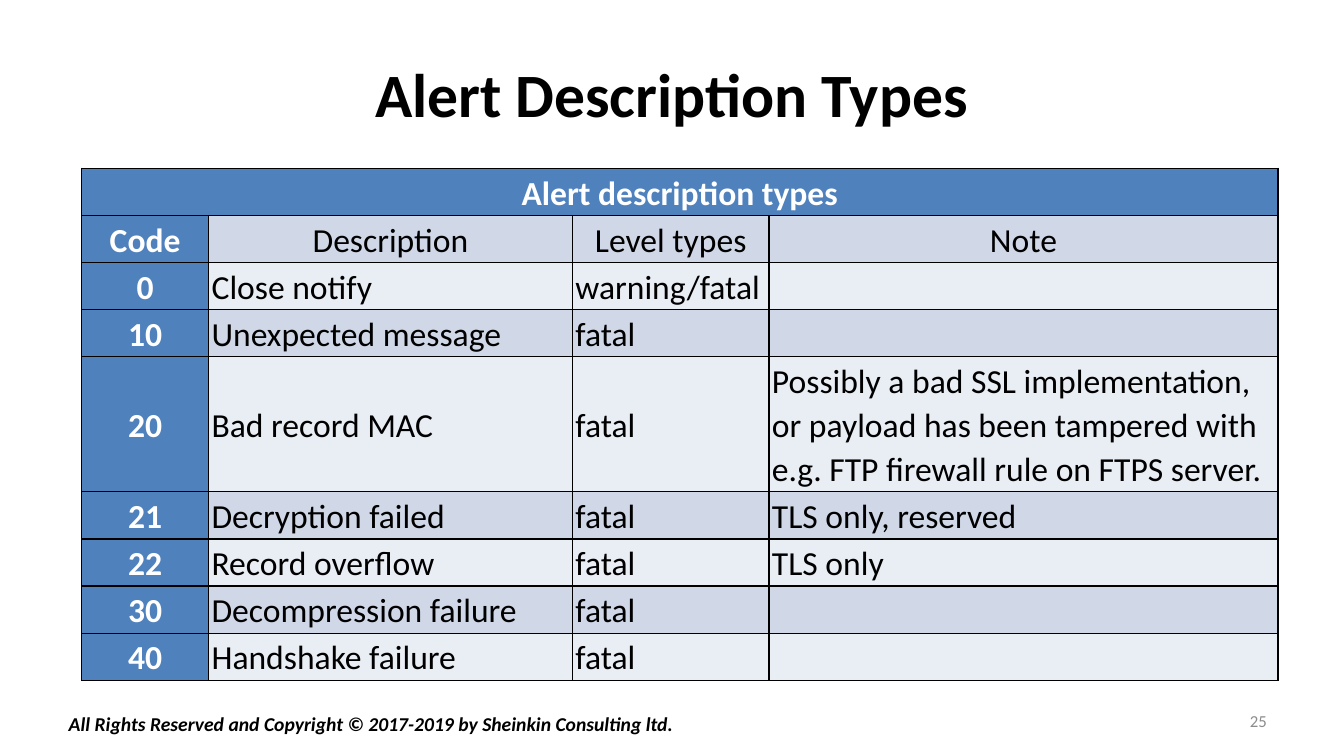
from dataclasses import dataclass

from lxml.etree import SubElement
from pptx import Presentation
from pptx.dml.color import RGBColor as Color
from pptx.enum.text import MSO_ANCHOR as Anchor, PP_ALIGN as Align
from pptx.oxml.ns import qn
from pptx.util import Pt

TITLE = "Alert Description Types"
CAPTION = "Alert description types"
FOOTER = "All Rights Reserved and Copyright © 2017-2019 by Sheinkin Consulting ltd."
PAGE_NUMBER = "25"
HEADINGS = ("Code", "Description", "Level types", "Note")
ALERTS = [
    ("0", "Close notify", "warning/fatal", ""),
    ("10", "Unexpected message", "fatal", ""),
    ("20", "Bad record MAC", "fatal",
     "Possibly a bad SSL implementation, or payload has been tampered with "
     "e.g. FTP firewall rule on FTPS server."),
    ("21", "Decryption failed", "fatal", "TLS only, reserved"),
    ("22", "Record overflow", "fatal", "TLS only"),
    ("30", "Decompression failure", "fatal", ""),
    ("40", "Handshake failure", "fatal", ""),
]


@dataclass(frozen=True)
class Theme:
    font: str = "Calibri"
    ink: str = "000000"
    light: str = "FFFFFF"
    muted: str = "8C8C8C"
    accent: str = "4F81BD"
    bands: tuple = ("E9EDF4", "D0D8E8")
    title_size: float = 44
    table_size: float = 24
    footer_size: float = 14
    number_size: float = 12


THEME = Theme()
COLUMN_WIDTHS = (90.7, 259.9, 140.4, 363.6)
TABLE_LEFT, TABLE_TOP = 58.3, 120.2
ROW_HEIGHT, TALL_ROW_HEIGHT = 33.5, 96.4
TALL_CODE = "20"


def write(frame, text, size, color=THEME.ink, bold=False, italic=False,
          align=Align.LEFT, spacing=None):
    para = frame.paragraphs[0]
    para.alignment = align
    para.line_spacing = spacing
    span = para.add_run()
    span.text = text
    font = span.font
    font.name, font.size, font.bold, font.italic = THEME.font, Pt(size), bold, italic
    font.color.rgb = Color.from_string(color)


def add_text(page, area, text, size, anchor=Anchor.MIDDLE, **style):
    box = page.shapes.add_textbox(*map(Pt, area))
    frame = box.text_frame
    frame.word_wrap = True
    frame.vertical_anchor = anchor
    write(frame, text, size, **style)


def add_borders(cell):
    properties = cell._tc.get_or_add_tcPr()
    for side in ("lnL", "lnR", "lnT", "lnB"):
        line = SubElement(properties, qn(f"a:{side}"), w=str(Pt(1)))
        fill = SubElement(line, qn("a:solidFill"))
        SubElement(fill, qn("a:srgbClr"), val=THEME.ink)


def format_cell(cell, text, fill, **style):
    add_borders(cell)
    cell.fill.solid()
    cell.fill.fore_color.rgb = Color.from_string(fill)
    cell.margin_left = cell.margin_right = Pt(2.16)
    cell.margin_top = cell.margin_bottom = Pt(1.44)
    cell.vertical_anchor = Anchor.MIDDLE
    if text:
        write(cell.text_frame, text, THEME.table_size, spacing=1.07, **style)


def add_alert_table(page):
    rows = [(CAPTION, "", "", ""), HEADINGS, *ALERTS]
    heights = [TALL_ROW_HEIGHT if row[0] == TALL_CODE else ROW_HEIGHT for row in rows]
    table = page.shapes.add_table(
        len(rows), len(HEADINGS), Pt(TABLE_LEFT), Pt(TABLE_TOP),
        Pt(sum(COLUMN_WIDTHS)), Pt(sum(heights))).table
    table.first_row = table.horz_banding = False
    for column, width in zip(table.columns, COLUMN_WIDTHS):
        column.width = Pt(width)
    for r, (values, height) in enumerate(zip(rows, heights)):
        table.rows[r].height = Pt(height)
        for c, text in enumerate(values):
            accented = r == 0 or c == 0
            format_cell(
                table.cell(r, c), text,
                fill=THEME.accent if accented else THEME.bands[r % 2],
                color=THEME.light if accented else THEME.ink,
                bold=accented,
                align=Align.CENTER if accented or r == 1 else Align.LEFT)
    table.cell(0, 0).merge(table.cell(0, len(HEADINGS) - 1))


def main():
    deck = Presentation()
    deck.slide_width, deck.slide_height = Pt(960), Pt(540)
    page = deck.slides.add_slide(deck.slide_layouts[6])
    add_text(page, (42, 504.7, 627, 24.5), FOOTER, THEME.footer_size,
             anchor=Anchor.TOP, bold=True, italic=True)
    add_text(page, (48, 21.6, 864, 90), TITLE, THEME.title_size,
             bold=True, align=Align.CENTER)
    add_alert_table(page)
    add_text(page, (688, 500.5, 224, 28.8), PAGE_NUMBER, THEME.number_size,
             color=THEME.muted, align=Align.RIGHT)
    deck.save("out.pptx")


if __name__ == "__main__":
    main()
